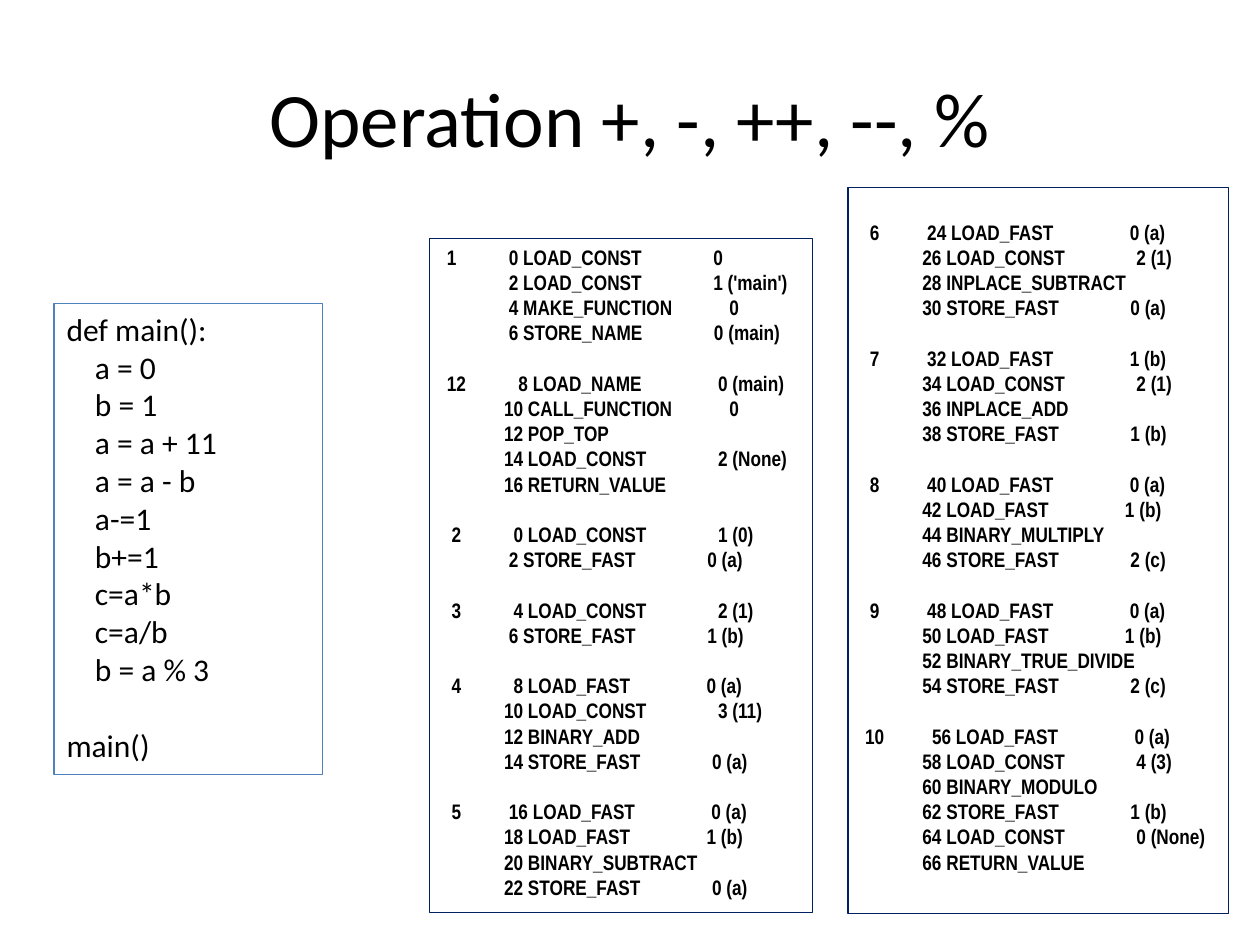
from dataclasses import dataclass

from pptx import Presentation
from pptx.dml.color import RGBColor
from pptx.enum.shapes import MSO_SHAPE
from pptx.enum.text import MSO_ANCHOR, PP_ALIGN
from pptx.util import Inches, Pt


@dataclass(frozen=True)
class Theme:
    text: RGBColor = RGBColor(0x00, 0x00, 0x00)
    source_border: RGBColor = RGBColor(0x4F, 0x81, 0xBD)
    bytecode_border: RGBColor = RGBColor(0x00, 0x20, 0x60)
    body_font: str = "Calibri"
    bytecode_font: str = "Arial Narrow"
    title_size: int = 44
    source_size: int = 18
    bytecode_size: int = 12
    border_width: float = 0.75
    line_spacing: float = 1.2


THEME = Theme()

SOURCE = [
    ["def main():", "    a = 0", "    b = 1", "    a = a + 11", "    a = a - b",
     "    a-=1", "    b+=1", "    c=a*b", "    c=a/b", "    b = a % 3"],
    ["main()"],
]

BYTECODE_START = [
    (" 1", 0, [("LOAD_CONST", "0"), ("LOAD_CONST", "1 ('main')"),
               ("MAKE_FUNCTION", "0"), ("STORE_NAME", "0 (main)")]),
    (" 12", 8, [("LOAD_NAME", "0 (main)"), ("CALL_FUNCTION", "0"), ("POP_TOP", ""),
                ("LOAD_CONST", "2 (None)"), ("RETURN_VALUE", "")]),
    ("  2", 0, [("LOAD_CONST", "1 (0)"), ("STORE_FAST", "0 (a)")]),
    ("  3", 4, [("LOAD_CONST", "2 (1)"), ("STORE_FAST", "1 (b)")]),
    ("  4", 8, [("LOAD_FAST", "0 (a)"), ("LOAD_CONST", "3 (11)"),
                ("BINARY_ADD", ""), ("STORE_FAST", "0 (a)")]),
    ("  5", 16, [("LOAD_FAST", "0 (a)"), ("LOAD_FAST", "1 (b)"),
                 ("BINARY_SUBTRACT", ""), ("STORE_FAST", "0 (a)")]),
]

BYTECODE_END = [
    ("  6", 24, [("LOAD_FAST", "0 (a)"), ("LOAD_CONST", "2 (1)"),
                 ("INPLACE_SUBTRACT", ""), ("STORE_FAST", "0 (a)")]),
    ("  7", 32, [("LOAD_FAST", "1 (b)"), ("LOAD_CONST", "2 (1)"),
                 ("INPLACE_ADD", ""), ("STORE_FAST", "1 (b)")]),
    ("  8", 40, [("LOAD_FAST", "0 (a)"), ("LOAD_FAST", "1 (b)"),
                 ("BINARY_MULTIPLY", ""), ("STORE_FAST", "2 (c)")]),
    ("  9", 48, [("LOAD_FAST", "0 (a)"), ("LOAD_FAST", "1 (b)"),
                 ("BINARY_TRUE_DIVIDE", ""), ("STORE_FAST", "2 (c)")]),
    (" 10", 56, [("LOAD_FAST", "0 (a)"), ("LOAD_CONST", "4 (3)"),
                 ("BINARY_MODULO", ""), ("STORE_FAST", "1 (b)"),
                 ("LOAD_CONST", "0 (None)"), ("RETURN_VALUE", "")]),
]


def disassembly_lines(line_label, first_offset, instructions):
    code_lines = []
    for index, (opcode, argument) in enumerate(instructions):
        label = "   " if index else line_label
        offset = first_offset + 2 * index
        code_lines.append(f"{label}{offset:>12} {opcode:<25}{argument}".rstrip())
    return code_lines


def add_run(paragraph, text, font, size, bold=False):
    run = paragraph.add_run()
    run.text = text
    run.font.name = font
    run.font.size = Pt(size)
    run.font.bold = bold
    run.font.color.rgb = THEME.text


def add_title(slide, text):
    title = slide.shapes.add_textbox(Inches(0.5), Inches(0.3), Inches(9), Inches(1.25))
    frame = title.text_frame
    frame.word_wrap = True
    frame.vertical_anchor = MSO_ANCHOR.MIDDLE
    heading = frame.paragraphs[0]
    heading.alignment = PP_ALIGN.CENTER
    add_run(heading, text, THEME.body_font, THEME.title_size)


def write_blocks(frame, blocks, font, size, bold):
    for block_index, block in enumerate(blocks):
        for line_index, code_line in enumerate(block):
            first = block_index == line_index == 0
            paragraph = frame.paragraphs[0] if first else frame.add_paragraph()
            paragraph.alignment = PP_ALIGN.LEFT
            if block_index and line_index == 0:
                paragraph.space_before = Pt(size * THEME.line_spacing)
            add_run(paragraph, code_line, font, size, bold)


def add_listing(slide, position, blocks, border, font, size, bold=False, top_margin=0.05):
    panel = slide.shapes.add_shape(MSO_SHAPE.RECTANGLE, *map(Inches, position))
    panel.shadow.inherit = False
    panel.fill.background()
    panel.line.color.rgb = border
    panel.line.width = Pt(THEME.border_width)
    frame = panel.text_frame
    frame.word_wrap = True
    frame.vertical_anchor = MSO_ANCHOR.TOP
    frame.margin_top = Inches(top_margin)
    write_blocks(frame, blocks, font, size, bold)


def add_bytecode(slide, position, groups, top_margin=0.05):
    blocks = [disassembly_lines(*group) for group in groups]
    add_listing(slide, position, blocks, THEME.bytecode_border,
                THEME.bytecode_font, THEME.bytecode_size, True, top_margin)


def main():
    presentation = Presentation()
    presentation.slide_width = Inches(10)
    presentation.slide_height = Inches(7.5)
    slide = presentation.slides.add_slide(presentation.slide_layouts[6])

    add_title(slide, "Operation +, -, ++, --, %")
    add_listing(slide, (0.43, 2.41, 2.13, 3.74), SOURCE, THEME.source_border,
                THEME.body_font, THEME.source_size)
    add_bytecode(slide, (3.41, 1.89, 3.04, 5.35), BYTECODE_START)
    add_bytecode(slide, (6.73, 1.49, 3.02, 5.76), BYTECODE_END, top_margin=0.25)

    presentation.save("out.pptx")


if __name__ == "__main__":
    main()
